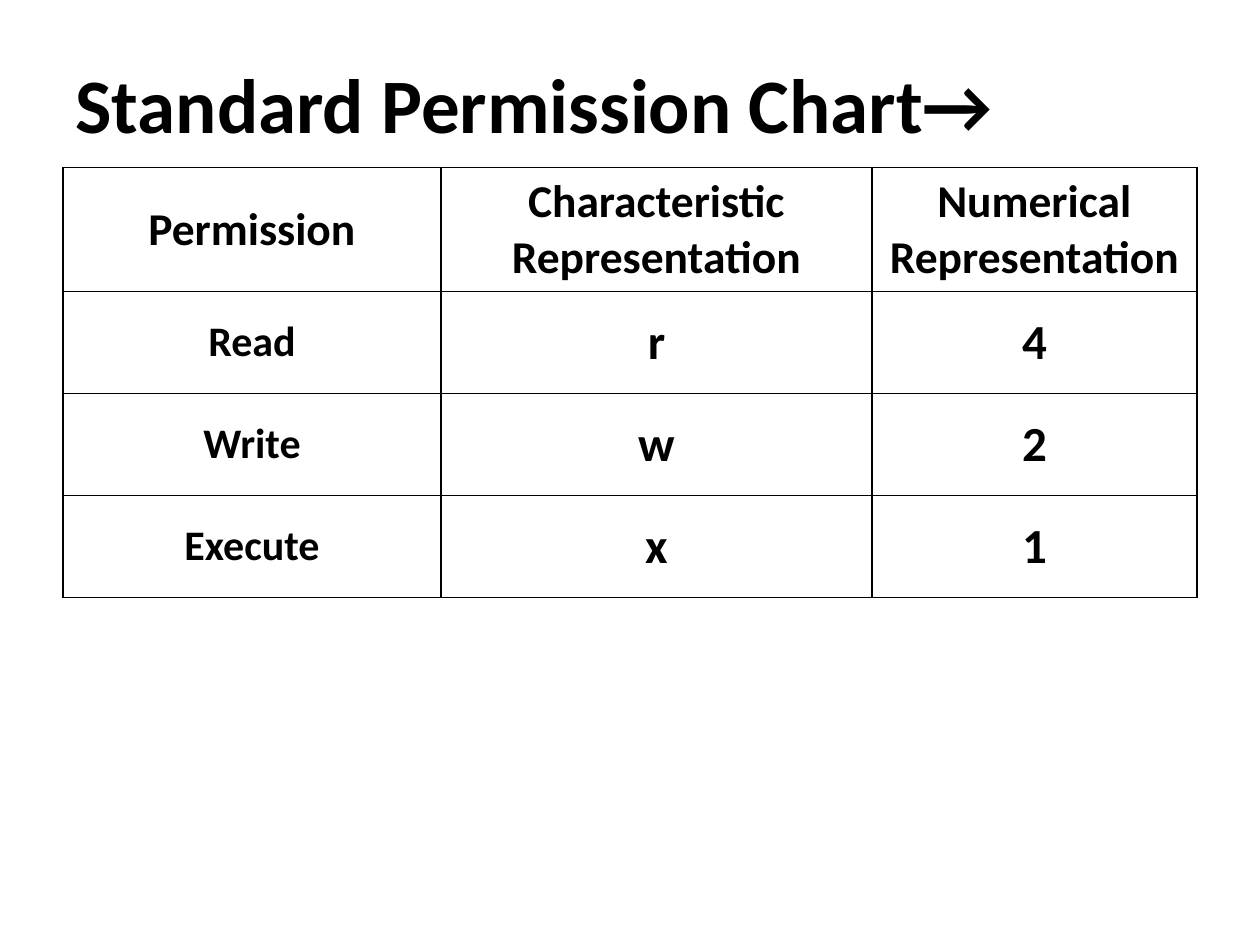
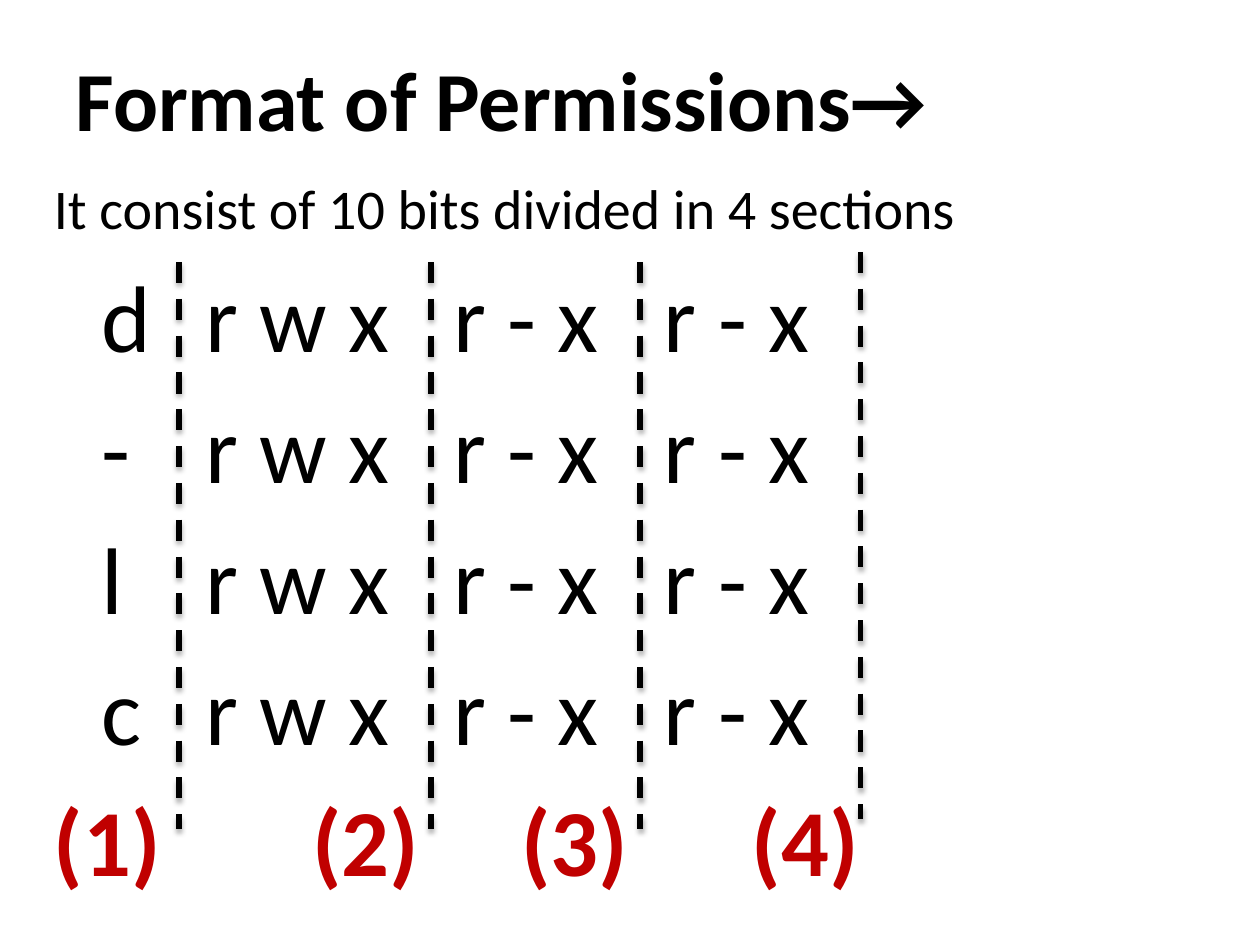
from lxml import etree
from pptx import Presentation
from pptx.dml.color import RGBColor
from pptx.enum.dml import MSO_LINE
from pptx.enum.shapes import MSO_CONNECTOR
from pptx.enum.text import MSO_ANCHOR, MSO_AUTO_SIZE, PP_ALIGN
from pptx.oxml import parse_xml
from pptx.oxml.ns import nsdecls, qn
from pptx.util import Inches, Pt

LEFT, CENTER = PP_ALIGN.LEFT, PP_ALIGN.CENTER
MIDDLE, NO_FIT = MSO_ANCHOR.MIDDLE, MSO_AUTO_SIZE.NONE
STRAIGHT, DASH = MSO_CONNECTOR.STRAIGHT, MSO_LINE.DASH
FONT, BLACK, RED = "Calibri", "000000", "C00000"

CHART_TITLE = "Standard Permission Chart→"
HEADER = ("Permission", "Characteristic Representation", "Numerical Representation")
PERMISSIONS = [("Read", "r", "4"), ("Write", "w", "2"), ("Execute", "x", "1")]
COLUMN_WIDTHS = (3, 3.42, 2.58)
HEADER_HEIGHT, ROW_HEIGHT = 0.98, 0.81

FORMAT_TITLE = "Format of Permissions→"
INTRO = "It consist of 10 bits divided in 4 sections"
FILE_TYPES = ("d", "-", "l", "c")
BIT_GROUPS = ("r w x", "r - x", "r - x")
SECTIONS = ("(1)", "(2)", "(3)", "(4)")
BIT_STOPS = (0.38, 1.2, 3.17, 4.84)
SECTION_STOPS = (2.05, 3.71, 5.54)
DIVIDERS = [(1.42, 2.08), (3.42, 2.08), (5.08, 2.08), (6.83, 2)]
DIVIDER_LENGTH = 4.5


def rgb(value):
    """Turn a hex string into a colour."""
    return RGBColor.from_string(value)


def write(p, text, size, color=BLACK, bold=False, align=LEFT, before=0, stops=()):
    """Write one formatted run into a paragraph, with optional tab stops."""
    p.alignment = align
    p.space_before = Pt(before)
    if stops:
        tabs = etree.SubElement(p._p.get_or_add_pPr(), qn("a:tabLst"))
        for stop in stops:
            etree.SubElement(tabs, qn("a:tab"), pos=str(Inches(stop)), algn="l")
    r = p.add_run()
    r.text = text
    r.font.name, r.font.size, r.font.bold = FONT, Pt(size), bold
    r.font.color.rgb = rgb(color)


def add_slide(prs, title, size, height):
    """Add a title-only slide with its title placed and formatted."""
    s = prs.slides.add_slide(prs.slide_layouts[5])
    sp = s.shapes.title
    sp.left, sp.top, sp.width, sp.height = map(Inches, (0.5, 0.3, 9, height))
    tf = sp.text_frame
    tf.auto_size, tf.vertical_anchor = NO_FIT, MIDDLE
    write(tf.paragraphs[0], title, size, bold=True)
    return s


def add_borders(cell):
    """Draw a thin black border on every side of a cell."""
    tc_pr = cell._tc.get_or_add_tcPr()
    for i, side in enumerate(("lnL", "lnR", "lnT", "lnB")):
        tc_pr.insert(i, parse_xml(
            f'<a:{side} {nsdecls("a")} w="{Pt(1)}"><a:solidFill>'
            f'<a:srgbClr val="{BLACK}"/></a:solidFill></a:{side}>'))


def add_permission_table(s):
    """Add the table of permissions and their representations."""
    rows = [HEADER, *PERMISSIONS]
    heights = [HEADER_HEIGHT] + [ROW_HEIGHT] * len(PERMISSIONS)
    table = s.shapes.add_table(
        len(rows), len(HEADER), Inches(0.5), Inches(1.33),
        Inches(sum(COLUMN_WIDTHS)), Inches(sum(heights))).table
    table.first_row = table.horz_banding = False
    for column, width in zip(table.columns, COLUMN_WIDTHS):
        column.width = Inches(width)
    for i, (row, height) in enumerate(zip(rows, heights)):
        table.rows[i].height = Inches(height)
        for j, text in enumerate(row):
            cell = table.cell(i, j)
            cell.vertical_anchor = MIDDLE
            cell.fill.background()
            add_borders(cell)
            size = 26 if i == 0 else 24 if j == 0 else 28
            write(cell.text_frame.paragraphs[0], text, size, bold=True, align=CENTER)


def add_format_text(s):
    """Add the intro, the tabbed permission bits and the section numbers."""
    sp = s.shapes.add_textbox(Inches(0.33), Inches(1.33), Inches(9.33), Inches(5.75))
    tf = sp.text_frame
    tf.word_wrap, tf.auto_size = True, NO_FIT
    write(tf.paragraphs[0], INTRO, 32)
    for kind in FILE_TYPES:
        bits = "\t" + "\t".join((kind, *BIT_GROUPS))
        write(tf.add_paragraph(), bits, 54, before=10, stops=BIT_STOPS)
    write(tf.add_paragraph(), "\t".join(SECTIONS), 54, color=RED, bold=True,
          before=10, stops=SECTION_STOPS)


def add_divider(s, x, y):
    """Add a dashed vertical line with a soft shadow."""
    line = s.shapes.add_connector(
        STRAIGHT, Inches(x), Inches(y), Inches(x), Inches(y + DIVIDER_LENGTH))
    line.line.color.rgb = rgb(BLACK)
    line.line.width, line.line.dash_style = Pt(3), DASH
    line._element.spPr.append(parse_xml(
        f'<a:effectLst {nsdecls("a")}><a:outerShdw blurRad="{Pt(3.1)}" '
        f'dist="{Pt(1.8)}" dir="5400000" rotWithShape="0"><a:srgbClr val="{BLACK}">'
        '<a:alpha val="35000"/></a:srgbClr></a:outerShdw></a:effectLst>'))


def main():
    """Build and save both slides."""
    prs = Presentation()
    prs.slide_width, prs.slide_height = Inches(10), Inches(7.5)
    add_permission_table(add_slide(prs, CHART_TITLE, 44, 1.03))
    s = add_slide(prs, FORMAT_TITLE, 48, 0.95)
    add_format_text(s)
    for x, y in DIVIDERS:
        add_divider(s, x, y)
    prs.save("out.pptx")


main()
